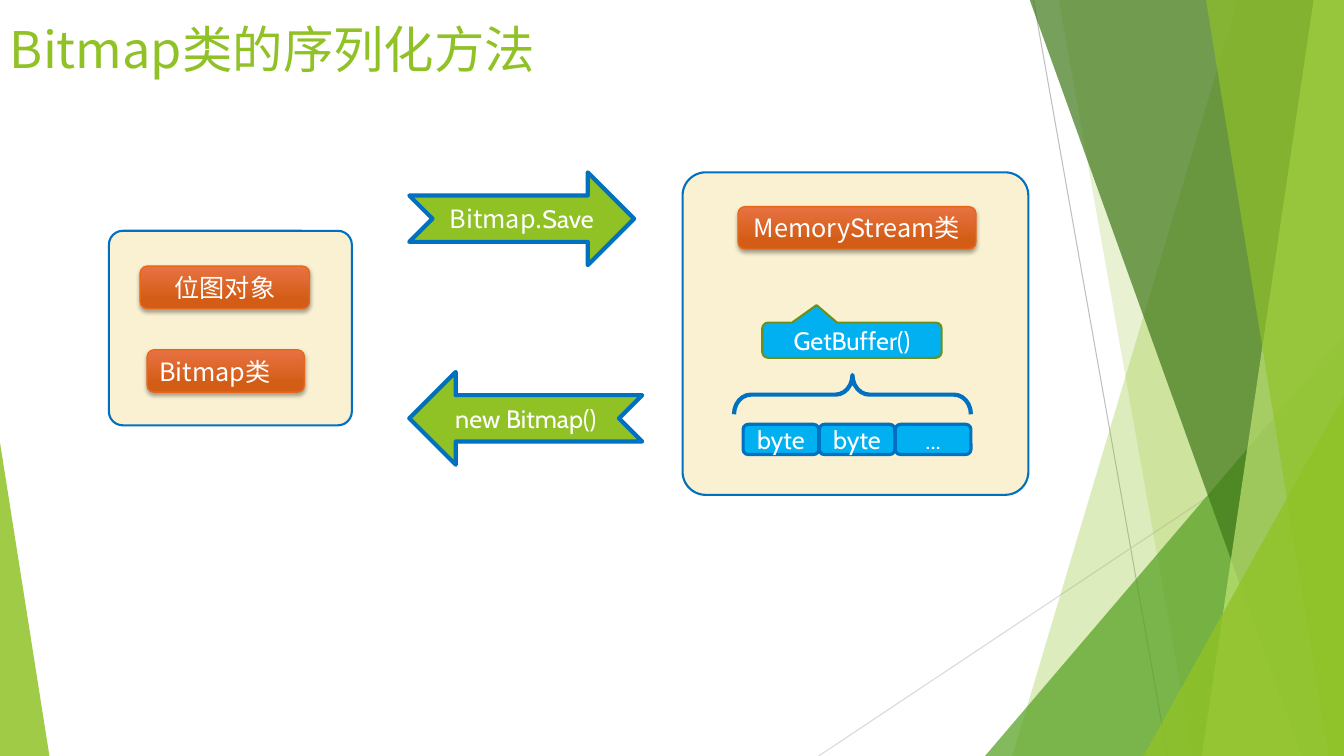
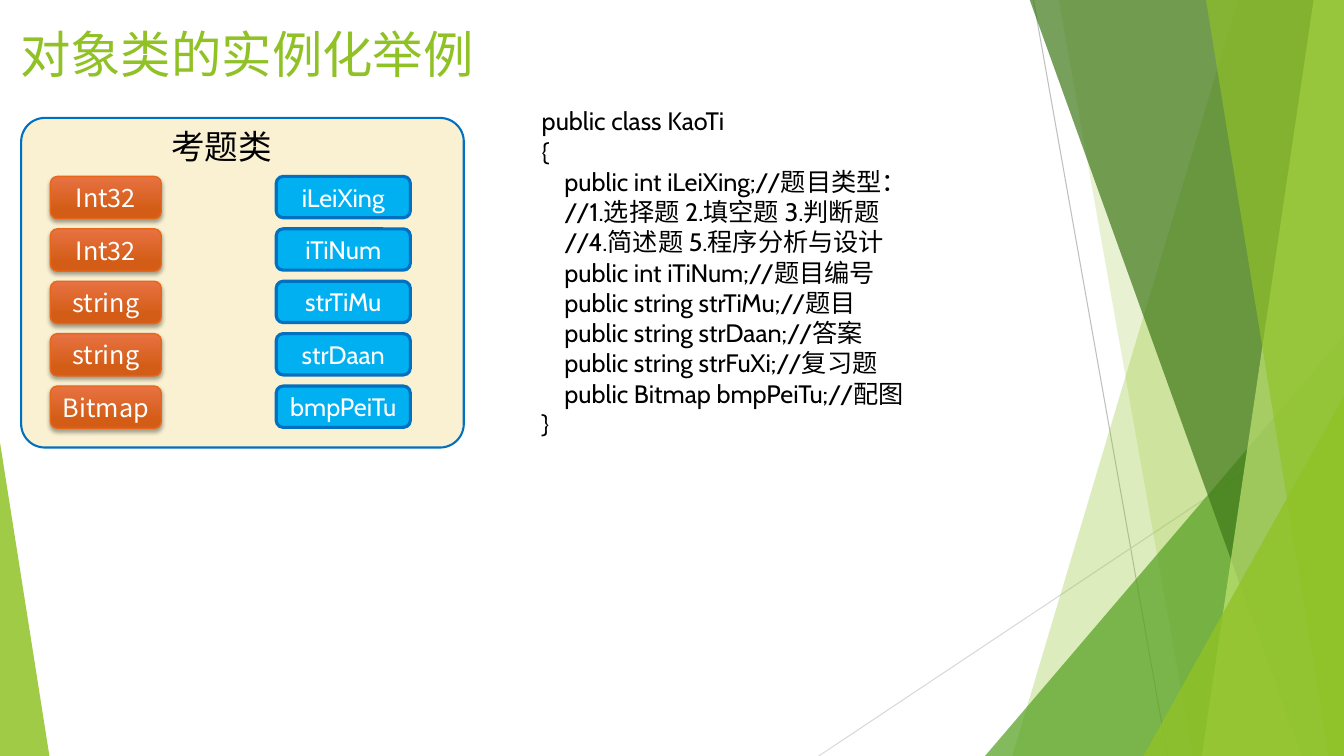
from lxml.etree import SubElement
from pptx import Presentation
from pptx.dml.color import RGBColor
from pptx.enum.shapes import MSO_CONNECTOR, MSO_SHAPE as Shape
from pptx.enum.text import MSO_ANCHOR as Anchor, PP_ALIGN as Align
from pptx.oxml.ns import qn
from pptx.util import Inches, Pt

THEME = {
    "green": "90C226", "lime": "C0E474", "leaf": "54A021", "forest": "3F7819",
    "olive": "6B901C", "cream": "FAF1D2", "blue": "0070C0", "sky": "00B0F0",
    "orange_top": "E87242", "orange_end": "D35D16", "orange_edge": "E76618",
    "white": "FFFFFF", "black": "000000", "grey": "BFBFBF", "silver": "D9D9D9",
    "latin": "Cabin", "cjk": "Noto Sans CJK SC",
    "title": 36, "heading": 24, "body": 18,
}


def color(name):
    return RGBColor.from_string(THEME[name])


def write(box, lines, font="latin", size="body", ink="white", align=Align.CENTER, wrap=True):
    frame = box.text_frame
    frame.word_wrap = wrap
    frame.text = "\n".join(lines)
    for para in frame.paragraphs:
        para.alignment = align
        for span in para.runs:
            span.font.name = THEME[font]
            span.font.size = Pt(THEME[size])
            span.font.color.rgb = color(ink)
            SubElement(span.font._element, qn("a:ea"), typeface=THEME["cjk"])


def draw(page, kind, place, fill, edge, weight, text=None, font="latin", align=Align.CENTER):
    box = page.shapes.add_shape(kind, *map(Inches, place))
    box.shadow.inherit = False
    box.line.color.rgb = color(edge)
    box.line.width = Pt(weight)
    if fill == "orange":
        box.fill.gradient()
        box.fill.gradient_angle = 270
        for stop, (position, name) in zip(box.fill.gradient_stops, [(0, "orange_top"), (0.78, "orange_end")]):
            stop.position = position
            stop.color.rgb = color(name)
        effects = box._element.spPr.find(qn("a:effectLst"))
        shadow = SubElement(effects, qn("a:outerShdw"), blurRad=str(Pt(3)), dist=str(Pt(2)),
                            dir="5400000", algn="ctr", rotWithShape="0")
        black = SubElement(shadow, qn("a:srgbClr"), val=THEME["black"])
        SubElement(black, qn("a:alpha"), val="35000")
    elif fill:
        box.fill.solid()
        box.fill.fore_color.rgb = color(fill)
    else:
        box.fill.background()
    if text:
        box.text_frame.vertical_anchor = Anchor.MIDDLE
        write(box, [text], font, align=align)
    return box


deck = Presentation()
deck.slide_width, deck.slide_height = Inches(13.33), Inches(7.5)

BACKDROP_LINES = [((10.25, 0, 11.58, 7.5), "grey"), ((13.33, 4.03, 8.12, 7.5), "silver")]
BANDS = [
    ("band", (12.28, 10.04), "green", 30),
    ("band", (10.5, 11.83), "green", 20),
    ("triangle", (9.77, 3.33, 3.56, 4.17, 1), "leaf", 72),
    ("band", (10.21, 12.91), "forest", 70),
    ("band", (13.03, 11.92), "lime", 70),
    ("band", (11.96, 13.18), "green", 65),
    ("triangle", (11.34, 3.93, 1.99, 3.57, 1), "green", 80),
    ("triangle", (0, 4.39, 0.49, 3.11, 0), "green", 85),
]
TITLES = [
    ("Bitmap类的序列化方法", (0, 0.13, 5.72, 0.81)),
    ("对象类的实例化举例", (0.1, 0.18, 4.95, 0.86)),
]

pages = []
for title, place in TITLES:
    page = deck.slides.add_slide(deck.slide_layouts[6])
    pages.append(page)
    for ends, name in BACKDROP_LINES:
        line = page.shapes.add_connector(MSO_CONNECTOR.STRAIGHT, *map(Inches, ends))
        line.line.color.rgb = color(name)
        line.line.width = Pt(0.75)
        SubElement(line._element.spPr, qn("a:effectLst"))
    for kind, numbers, name, opacity in BANDS:
        if kind == "band":
            top_left, bottom_left = numbers
            outline = page.shapes.build_freeform(Inches(top_left), Inches(-0.01))
            corners = [(13.33, -0.01), (13.33, 7.5), (bottom_left, 7.5)]
            outline.add_line_segments([(Inches(x), Inches(y)) for x, y in corners], close=True)
            band = outline.convert_to_shape()
        else:
            band = page.shapes.add_shape(Shape.ISOSCELES_TRIANGLE, *map(Inches, numbers[:4]))
            band.adjustments[0] = numbers[4]
        band.shadow.inherit = False
        band.line.fill.background()
        band.fill.solid()
        band.fill.fore_color.rgb = color(name)
        tint = band._element.spPr.find(qn("a:solidFill")).find(qn("a:srgbClr"))
        SubElement(tint, qn("a:alpha"), val=str(opacity * 1000))
    heading = page.shapes.add_textbox(*map(Inches, place))
    write(heading, [title], "cjk", "title", "green", Align.LEFT)

PANELS = [(0, (1.08, 2.29, 2.41, 1.93)), (0, (6.77, 1.71, 3.43, 3.2)), (1, (0.21, 1.17, 4.39, 3.27))]
for index, place in PANELS:
    panel = draw(pages[index], Shape.ROUNDED_RECTANGLE, place, "cream", "blue", 1.5)
    panel.adjustments[0] = 0.072

flow, example = pages

CLASS_LABELS = [
    ("位图对象", (1.39, 2.64, 1.68, 0.42), Align.CENTER),
    ("MemoryStream类", (7.32, 2.05, 2.36, 0.42), Align.CENTER),
    ("Bitmap类", (1.46, 3.47, 1.56, 0.42), Align.LEFT),
]
for text, place, align in CLASS_LABELS:
    draw(flow, Shape.ROUNDED_RECTANGLE, place, "orange", "orange_edge", 1, text, "cjk", align)

for column, text in enumerate(["byte", "byte", "..."]):
    place = (7.37 + 0.755 * column, 4.21, 0.75, 0.3)
    draw(flow, Shape.ROUNDED_RECTANGLE, place, "sky", "blue", 2.25, text)

callout = draw(flow, Shape.ROUNDED_RECTANGULAR_CALLOUT, (7.56, 3.2, 1.78, 0.35),
               "sky", "olive", 1.5, "GetBuffer()")
callout.adjustments[0], callout.adjustments[1] = -0.197, -0.994

brace = draw(flow, Shape.RIGHT_BRACE, (8.26, 2.74, 0.39, 2.35), None, "blue", 3)
brace.adjustments[0] = 0.431
brace.rotation = 270

save_arrow = draw(flow, Shape.NOTCHED_RIGHT_ARROW, (4.06, 1.71, 2.23, 0.92),
                  "green", "blue", 3, "Bitmap.", "cjk")
span = save_arrow.text_frame.paragraphs[0].add_run()
span.text = "Save"
span.font.name = THEME["latin"]
span.font.size = Pt(THEME["body"])
span.font.color.rgb = color("white")

load_arrow = draw(flow, Shape.NOTCHED_RIGHT_ARROW, (4.06, 3.69, 2.31, 0.92),
                  "green", "blue", 3, "new Bitmap()")
load_arrow._element.spPr.xfrm.set("flipH", "1")

class_name = example.shapes.add_textbox(*map(Inches, (1.6, 1.2, 1.21, 0.5)))
write(class_name, ["考题类"], "cjk", "heading", "black", Align.LEFT, wrap=False)

FIELDS = [("Int32", "iLeiXing"), ("Int32", "iTiNum"), ("string", "strTiMu"),
          ("string", "strDaan"), ("Bitmap", "bmpPeiTu")]
for row, (kind, name) in enumerate(FIELDS):
    top = 1.75 + 0.52 * row
    draw(example, Shape.ROUNDED_RECTANGLE, (0.5, top, 1.1, 0.42), "orange", "orange_edge", 1, kind, "cjk")
    draw(example, Shape.ROUNDED_RECTANGLE, (2.74, top, 1.33, 0.41), "sky", "blue", 2.25, name)

CODE = [
    "    public class KaoTi",
    "    {",
    "        public int iLeiXing;//题目类型：",
    "        //1.选择题 2.填空题 3.判断题",
    "        //4.简述题 5.程序分析与设计",
    "        public int iTiNum;//题目编号",
    "        public string strTiMu;//题目",
    "        public string strDaan;//答案",
    "        public string strFuXi;//复习题",
    "        public Bitmap bmpPeiTu;//配图",
    "    }",
]
listing = example.shapes.add_textbox(*map(Inches, (5.05, 1, 5.44, 3.43)))
write(listing, CODE, ink="black", align=Align.LEFT)

deck.save("out.pptx")
